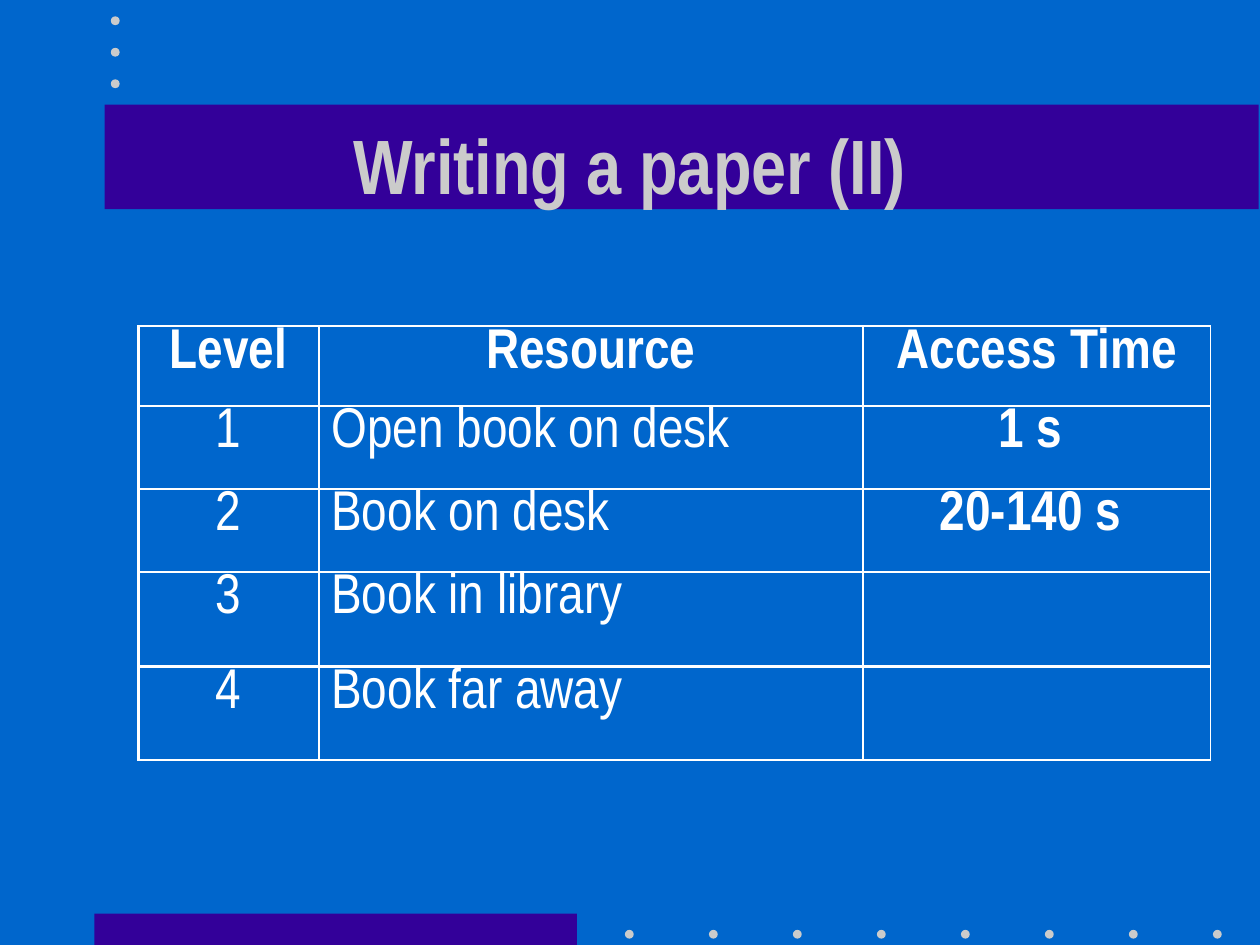
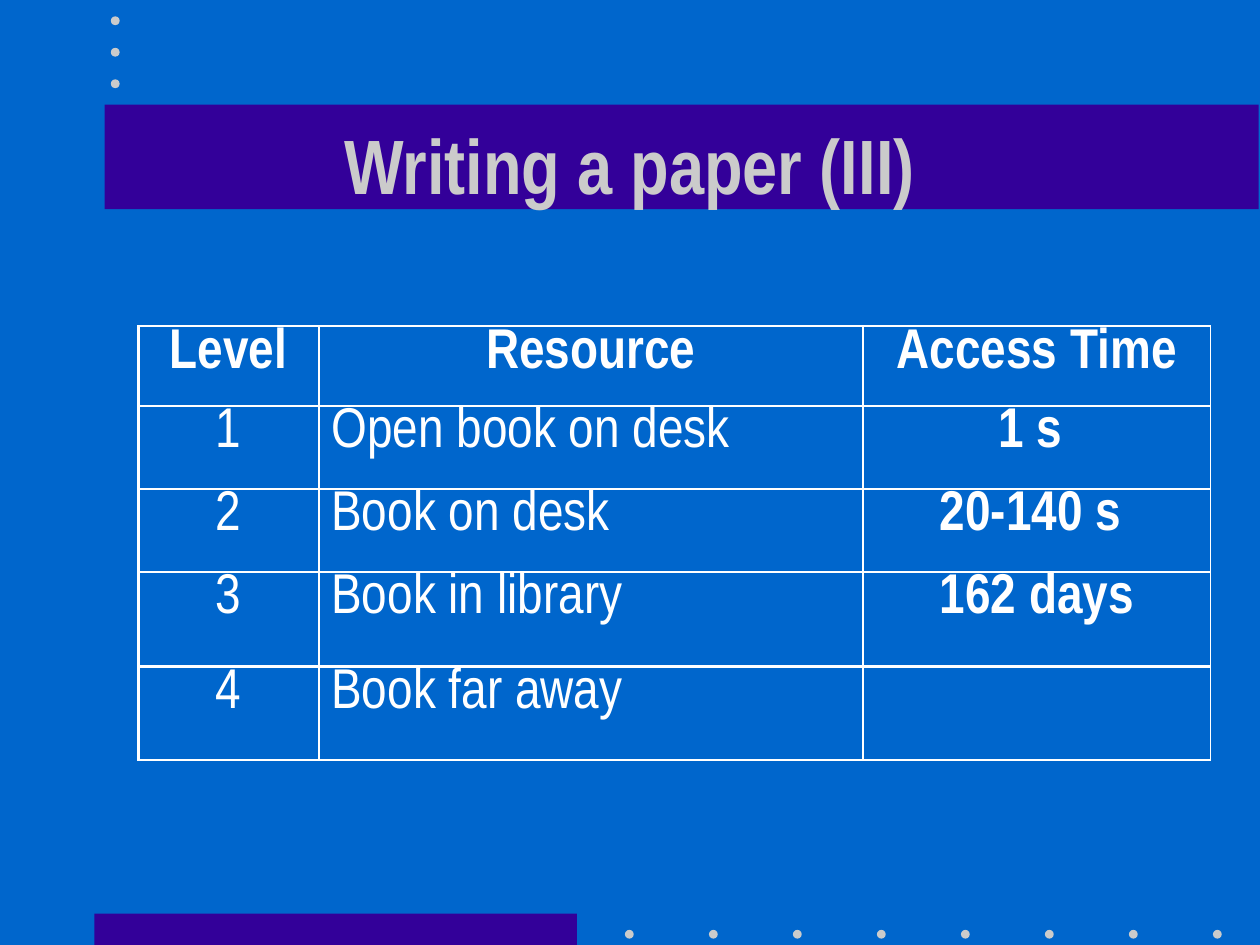
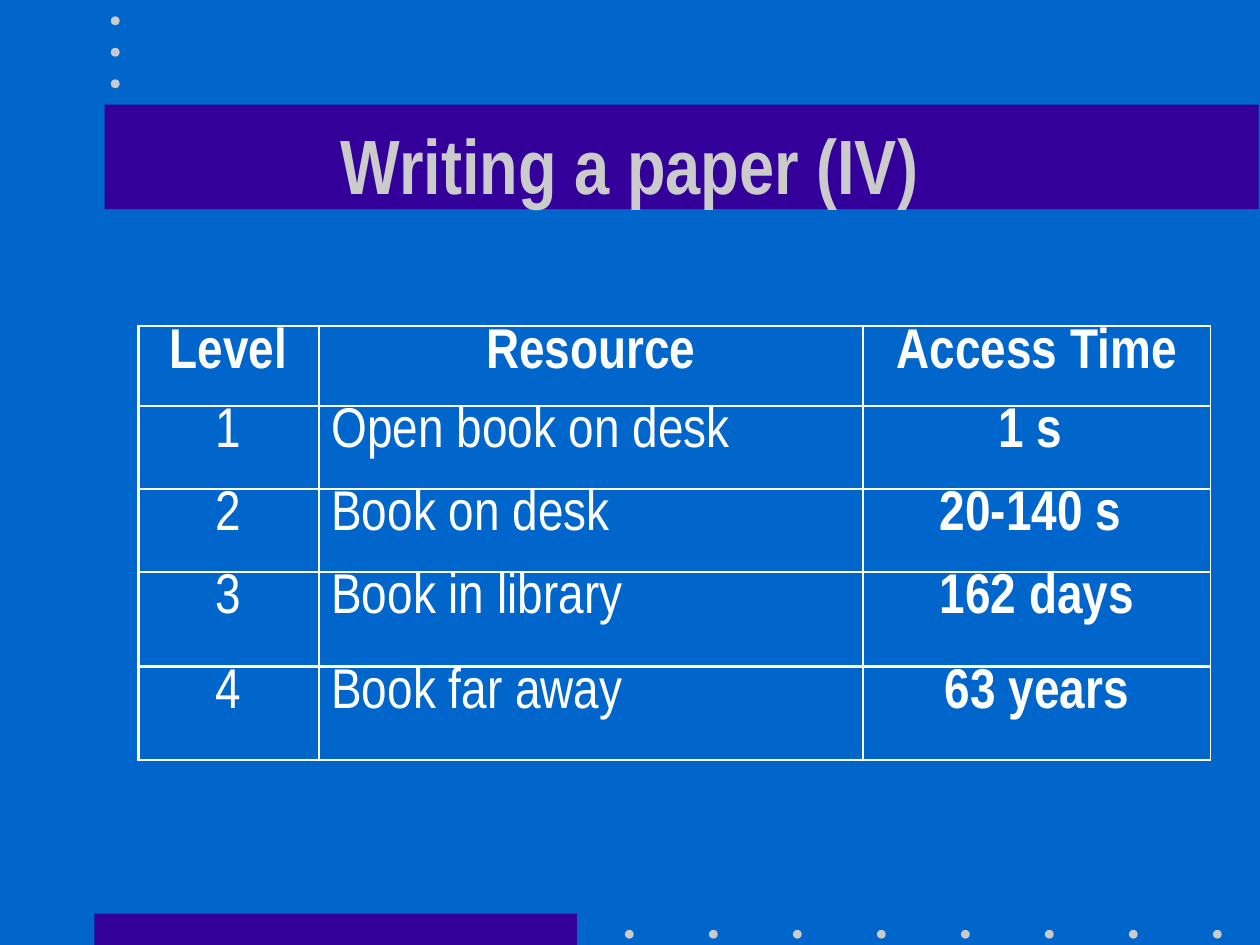
from pptx import Presentation
from pptx.dml.color import RGBColor
from pptx.enum.shapes import MSO_SHAPE
from pptx.enum.text import MSO_ANCHOR, PP_ALIGN
from pptx.oxml import parse_xml
from pptx.oxml.ns import nsdecls
from pptx.util import Inches, Pt

RECTANGLE, OVAL = MSO_SHAPE.RECTANGLE, MSO_SHAPE.OVAL
LEFT, CENTER = PP_ALIGN.LEFT, PP_ALIGN.CENTER
MIDDLE = MSO_ANCHOR.MIDDLE

BLUE, PURPLE, GREY, WHITE = "0066CC", "330099", "CBCBCB", "FFFFFF"
FONT = "Arial Narrow"
DOT_SIZE = 0.07

HEADINGS = ["Level", "Resource", "Access Time"]
RESOURCES = ["Open book on desk", "Book on desk", "Book in library", "Book far away"]
ACCESS_TIMES = ["1 s ", "20-140 s ", "162 days", "63 years"]
COLUMN_WIDTHS = [1.43, 4.32, 2.76]
ROW_HEIGHTS = [0.63, 0.66, 0.66, 0.75, 0.74]
PAPERS = [("Writing a paper (II)", 2), ("Writing a paper (III)", 3), ("Writing a paper (IV)", 4)]

bands = [(0.75, 7.25, 3.83, 0.25), (0.83, 0.83, 9.16, 0.83)]
dots = [(4.96 + i * 2 / 3, 7.38, DOT_SIZE, DOT_SIZE) for i in range(8)]
dots += [(0.88, 0.13 + i * 0.25, DOT_SIZE, DOT_SIZE) for i in range(3)]
decorations = [(RECTANGLE, PURPLE, box) for box in bands] + [(OVAL, GREY, box) for box in dots]


def rgb(value):
    return RGBColor.from_string(value)


def write(paragraph, text, size, color, bold, align):
    paragraph.text = text
    paragraph.alignment = align
    paragraph.font.name = FONT
    paragraph.font.size = Pt(size)
    paragraph.font.bold = bold
    paragraph.font.color.rgb = rgb(color)


prs = Presentation()
prs.slide_width, prs.slide_height = Inches(10), Inches(7.5)
background = prs.slide_master.background.fill
background.solid()
background.fore_color.rgb = rgb(BLUE)

for heading, known_times in PAPERS:
    slide = prs.slides.add_slide(prs.slide_layouts[6])

    for outline, color, box in decorations:
        decoration = slide.shapes.add_shape(outline, *map(Inches, box))
        decoration.shadow.inherit = False
        decoration.fill.solid()
        decoration.fill.fore_color.rgb = rgb(color)
        decoration.line.fill.background()

    title = slide.shapes.add_textbox(*map(Inches, (0.75, 0.67, 8.5, 1.25))).text_frame
    title.word_wrap = True
    title.vertical_anchor = MIDDLE
    write(title.paragraphs[0], heading, 44, GREY, True, CENTER)

    levels = slide.shapes.add_table(5, 3, *map(Inches, (1.1, 2.59, 8.51, 3.44))).table
    levels.first_row = levels.horz_banding = False
    for column, width in zip(levels.columns, COLUMN_WIDTHS):
        column.width = Inches(width)
    for row, height in zip(levels.rows, ROW_HEIGHTS):
        row.height = Inches(height)

    contents = [HEADINGS]
    for i, resource in enumerate(RESOURCES):
        contents.append([str(i + 1), resource, ACCESS_TIMES[i] if i < known_times else ""])

    for r, texts in enumerate(contents):
        for c, text in enumerate(texts):
            cell = levels.cell(r, c)
            entry = cell.text_frame.paragraphs[0]
            write(entry, text, 32, WHITE, r == 0 or c == 2, LEFT if r and c == 1 else CENTER)
            entry.line_spacing = 0.85
            properties = cell._tc.get_or_add_tcPr()
            for side in "LRTB":
                weight = Pt(0.45 if side == "R" and c == 2 else 1.47)
                properties.append(parse_xml(
                    f'<a:ln{side} {nsdecls("a")} w="{weight}"><a:solidFill>'
                    f'<a:srgbClr val="{WHITE}"/></a:solidFill></a:ln{side}>'))
            cell.fill.background()

prs.save("out.pptx")
